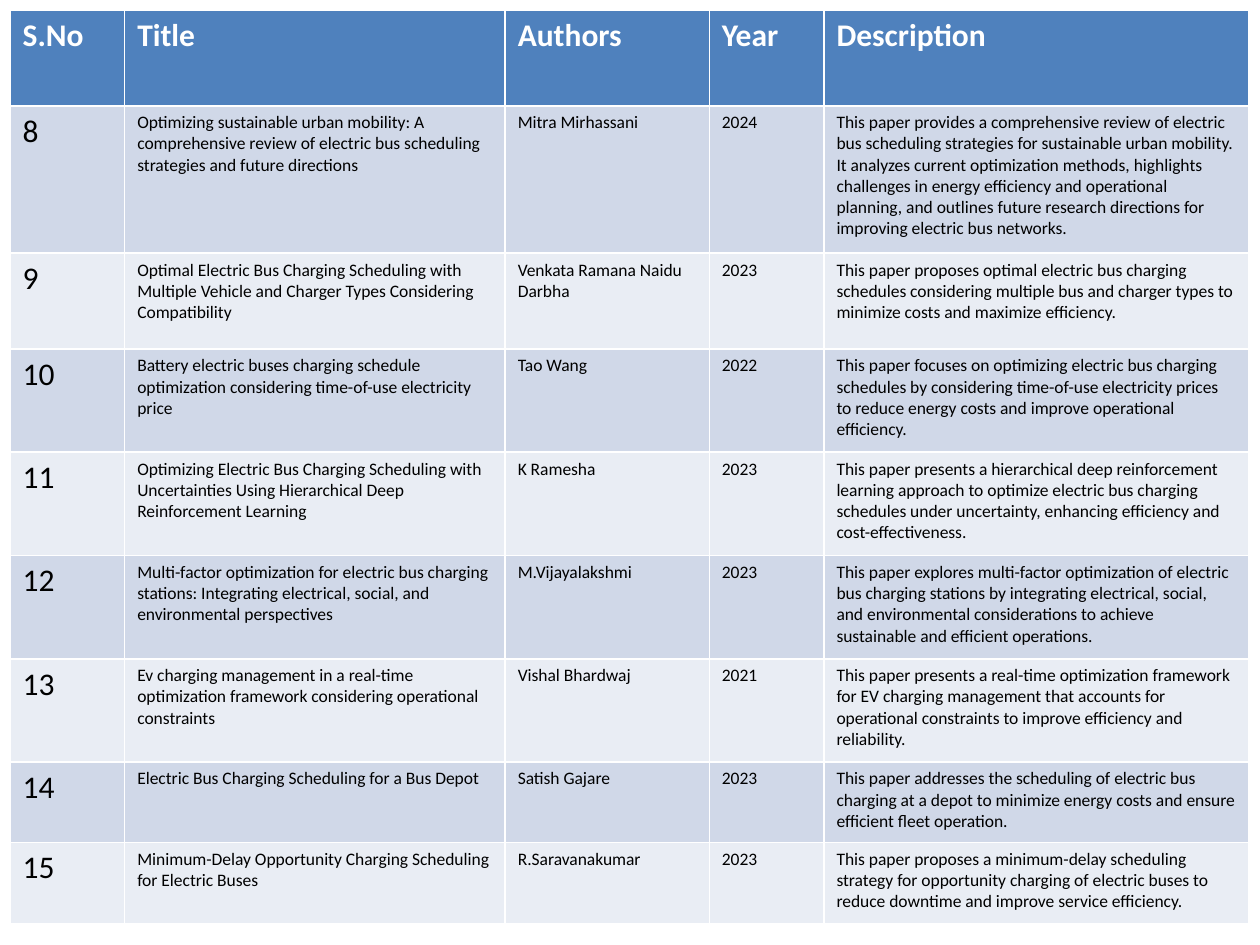
"""Build a literature survey slide on electric bus charging scheduling."""
from pptx import Presentation, util as u
from pptx.dml.color import RGBColor

COLORS = {"header": "4F81BD", "odd": "D0D8E8", "even": "E9EDF4",
          "heading": "FFFFFF", "body": "000000"}
MARGIN = 0.08
COLUMN_WIDTHS = [0.91, 3.02, 1.62, 0.91, 3.37]
ROW_HEIGHTS = [0.76, 1.17, 0.76] + [0.82] * 4 + [0.64] * 2
FIRST_NUMBER = 8

headings = ["S.No", "Title", "Authors", "Year", "Description"]
papers = [
    ("Optimizing sustainable urban mobility: A comprehensive review of electric bus "
     "scheduling strategies and future directions",
     "Mitra Mirhassani", "2024",
     "This paper provides a comprehensive review of electric bus scheduling strategies "
     "for sustainable urban mobility. It analyzes current optimization methods, highlights "
     "challenges in energy efficiency and operational planning, and outlines future "
     "research directions for improving electric bus networks."),
    ("Optimal Electric Bus Charging Scheduling with Multiple Vehicle and Charger Types "
     "Considering Compatibility",
     "Venkata Ramana Naidu Darbha", "2023",
     "This paper proposes optimal electric bus charging schedules considering multiple bus "
     "and charger types to minimize costs and maximize efficiency."),
    ("Battery electric buses charging schedule optimization considering time-of-use "
     "electricity price",
     "Tao Wang", "2022",
     "This paper focuses on optimizing electric bus charging schedules by considering "
     "time-of-use electricity prices to reduce energy costs and improve operational "
     "efficiency."),
    ("Optimizing Electric Bus Charging Scheduling with Uncertainties Using Hierarchical "
     "Deep Reinforcement Learning",
     "K Ramesha", "2023",
     "This paper presents a hierarchical deep reinforcement learning approach to optimize "
     "electric bus charging schedules under uncertainty, enhancing efficiency and "
     "cost-effectiveness."),
    ("Multi-factor optimization for electric bus charging stations: Integrating "
     "electrical, social, and environmental perspectives",
     "M.Vijayalakshmi", "2023",
     "This paper explores multi-factor optimization of electric bus charging stations by "
     "integrating electrical, social, and environmental considerations to achieve "
     "sustainable and efficient operations."),
    ("Ev charging management in a real-time optimization framework considering "
     "operational constraints",
     "Vishal Bhardwaj", "2021",
     "This paper presents a real-time optimization framework for EV charging management "
     "that accounts for operational constraints to improve efficiency and reliability."),
    ("Electric Bus Charging Scheduling for a Bus Depot",
     "Satish Gajare", "2023",
     "This paper addresses the scheduling of electric bus charging at a depot to minimize "
     "energy costs and ensure efficient fleet operation."),
    ("Minimum-Delay Opportunity Charging Scheduling for Electric Buses",
     "R.Saravanakumar", "2023",
     "This paper proposes a minimum-delay scheduling strategy for opportunity charging of "
     "electric buses to reduce downtime and improve service efficiency."),
]
survey_rows = [headings] + [(str(number), *paper)
                            for number, paper in enumerate(papers, FIRST_NUMBER)]

deck = Presentation()
deck.slide_width, deck.slide_height = u.Inches(10), u.Inches(7.5)
slide = deck.slides.add_slide(deck.slide_layouts[6])
survey = slide.shapes.add_table(
    len(survey_rows), len(headings), u.Inches(MARGIN), u.Inches(MARGIN),
    u.Inches(sum(COLUMN_WIDTHS)), u.Inches(sum(ROW_HEIGHTS))).table

for column, width in zip(survey.columns, COLUMN_WIDTHS):
    column.width = u.Inches(width)
for row, height in zip(survey.rows, ROW_HEIGHTS):
    row.height = u.Inches(height)

for r, entries in enumerate(survey_rows):
    is_header = r == 0
    band = "header" if is_header else "odd" if r % 2 else "even"
    for c, entry in enumerate(entries):
        cell = survey.cell(r, c)
        cell.fill.solid()
        cell.fill.fore_color.rgb = RGBColor.from_string(COLORS[band])
        cell.text_frame.text = entry
        font = cell.text_frame.paragraphs[0].runs[0].font
        font.name = "Calibri"
        font.size = u.Pt(18 if is_header or c == 0 else 10)
        font.bold = is_header
        font.color.rgb = RGBColor.from_string(COLORS["heading" if is_header else "body"])

deck.save("out.pptx")
